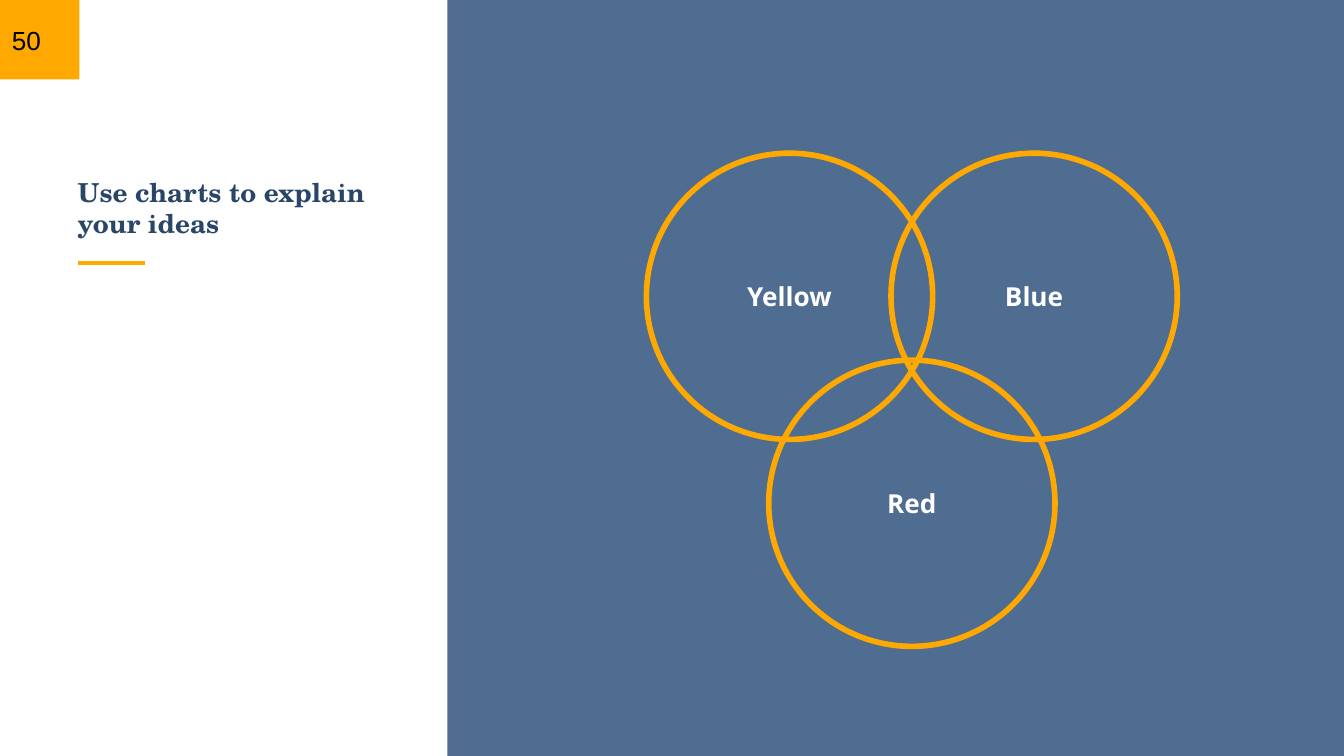
from lxml import etree
from pptx import Presentation
from pptx.dml.color import RGBColor
from pptx.enum.shapes import MSO_CONNECTOR, MSO_SHAPE
from pptx.enum.text import MSO_ANCHOR, PP_ALIGN
from pptx.oxml.ns import qn
from pptx.util import Inches, Pt

RECT, OVAL = MSO_SHAPE.RECTANGLE, MSO_SHAPE.OVAL
STRAIGHT = MSO_CONNECTOR.STRAIGHT
MIDDLE, BOTTOM = MSO_ANCHOR.MIDDLE, MSO_ANCHOR.BOTTOM
LEFT, CENTER = PP_ALIGN.LEFT, PP_ALIGN.CENTER

SLIDE_W = 10
SLIDE_H = SLIDE_W * 9 / 16
COLORS = {"panel": "325680", "accent": "FFA800", "title": "294667",
          "white": "FFFFFF", "black": "000000"}
TITLE_FONT, LABEL_FONT, NUMBER_FONT = "TeX Gyre Schola", "Open Sans", "Arial"


def rgb(name):
    return RGBColor.from_string(COLORS[name])


def add_shape(s, kind, x, y, w, h, fill=None, line=None):
    sp = s.shapes.add_shape(kind, Inches(x), Inches(y), Inches(w), Inches(h))
    sp.shadow.inherit = False
    if fill:
        sp.fill.solid()
        sp.fill.fore_color.rgb = rgb(fill)
    else:
        sp.fill.background()
    if line:
        sp.line.color.rgb = rgb(line)
        sp.line.width = Pt(3)
    else:
        sp.line.fill.background()
    return sp


def set_text(sp, text, font, color, bold=False, align=LEFT, anchor=MIDDLE):
    tf = sp.text_frame
    tf.word_wrap = True
    tf.vertical_anchor = anchor
    tf.margin_left = tf.margin_right = Inches(0.1)
    tf.margin_top = tf.margin_bottom = Inches(0.1)
    p = tf.paragraphs[0]
    p.alignment = align
    r = p.add_run()
    r.text = text
    r.font.name, r.font.size, r.font.bold = font, Pt(14), bold
    r.font.color.rgb = rgb(color)


def add_text(s, x, y, w, h, text, font, color, **style):
    sp = s.shapes.add_textbox(Inches(x), Inches(y), Inches(w), Inches(h))
    set_text(sp, text, font, color, **style)


def add_panel(s, x, y, w, h):
    """Translucent backdrop for the diagram."""
    sp = add_shape(s, RECT, x, y, w, h, fill="panel")
    color = sp.fill._xPr.find(qn("a:solidFill"))[0]
    etree.SubElement(color, qn("a:alpha")).set("val", "86000")


def add_page_number(s, x, y, size, number):
    """Corner square with the number on it."""
    add_shape(s, RECT, x, y, size, size, fill="accent")
    add_text(s, x - 0.01, y, size + 0.01, size, number, NUMBER_FONT, "black")


def add_title(s, x, y, w, h, text):
    """Title with a short rule below it."""
    rule_x, rule_y = Inches(x + 0.1), Inches(y + h + 0.08)
    rule = s.shapes.add_connector(STRAIGHT, rule_x, rule_y,
                                  rule_x + Inches(0.5), rule_y)
    rule.line.color.rgb = rgb("accent")
    rule.line.width = Pt(2.25)
    etree.SubElement(rule._element.spPr, qn("a:effectLst"))
    add_text(s, x, y, w, h, text, TITLE_FONT, "title", bold=True,
             anchor=BOTTOM)


def add_venn(s, x, y, w, h, labels, size=2.13):
    """Two circles in the top corners, one centred at the bottom."""
    dx, dy = w - size, h - size
    offsets = [(0, 0), (dx / 2, dy), (dx, 0)]
    for label, (ox, oy) in zip(labels, offsets):
        sp = add_shape(s, OVAL, x + ox, y + oy, size, size, line="accent")
        set_text(sp, label, LABEL_FONT, "white", bold=True, align=CENTER)


def main():
    prs = Presentation()
    prs.slide_width, prs.slide_height = Inches(SLIDE_W), Inches(SLIDE_H)
    s = prs.slides.add_slide(prs.slide_layouts[6])
    add_panel(s, 3.33, 0, SLIDE_W - 3.33, SLIDE_H)
    add_title(s, 0.48, 1.14, 2.35, 0.74, "Use charts to explain your ideas")
    add_venn(s, 4.81, 1.14, 3.95, 3.67, ["Yellow", "Red", "Blue"])
    add_page_number(s, 0, 0, 0.59, "50")
    prs.save("out.pptx")


if __name__ == "__main__":
    main()
